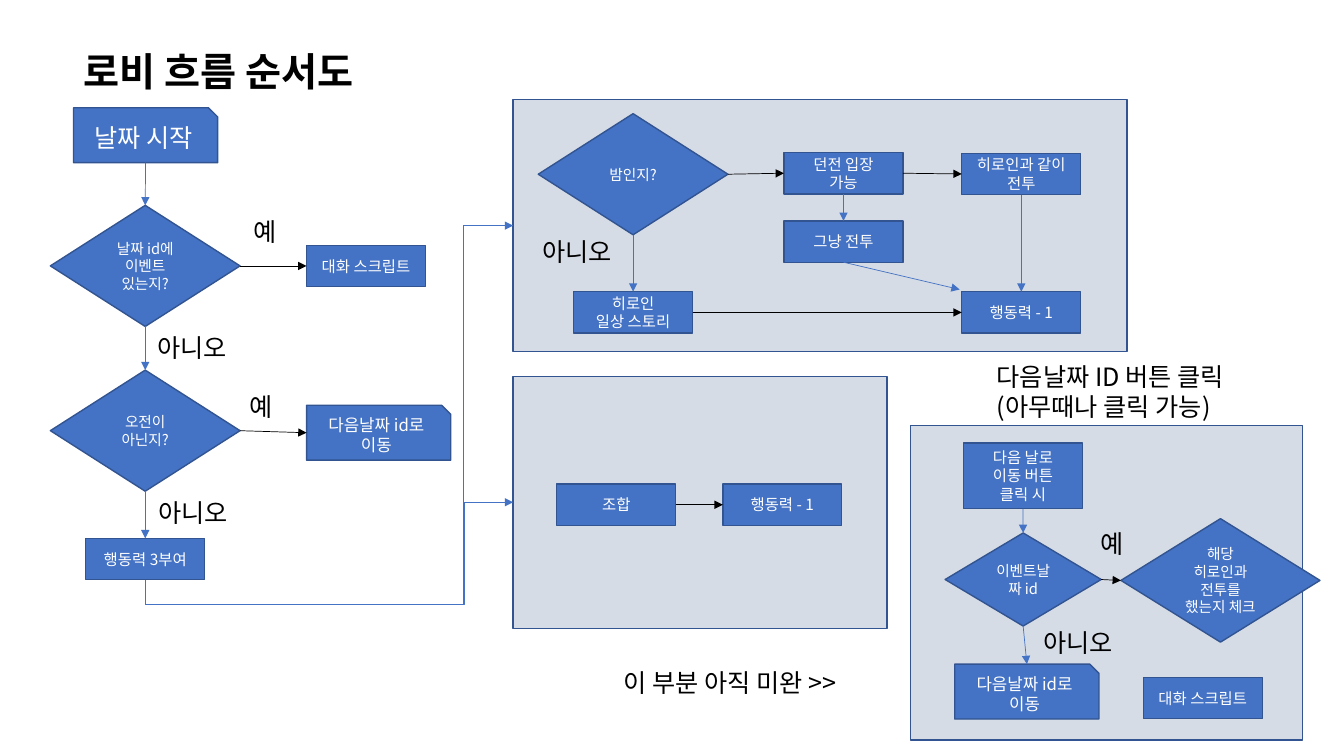
from lxml import etree
from pptx import Presentation
from pptx.dml.color import RGBColor
from pptx.enum.shapes import MSO_CONNECTOR, MSO_SHAPE
from pptx.enum.text import MSO_ANCHOR, PP_ALIGN
from pptx.oxml.ns import qn
from pptx.util import Pt

RECT = MSO_SHAPE.RECTANGLE
SNIP = MSO_SHAPE.SNIP_1_RECTANGLE
DIAMOND = MSO_SHAPE.FLOWCHART_DECISION
STRAIGHT, ELBOW = MSO_CONNECTOR.STRAIGHT, MSO_CONNECTOR.ELBOW
CENTER, MIDDLE = PP_ALIGN.CENTER, MSO_ANCHOR.MIDDLE
TOP, LEFT, BOTTOM, RIGHT = range(4)

BLACK = RGBColor(0x00, 0x00, 0x00)
WHITE = RGBColor(0xFF, 0xFF, 0xFF)
BLUE = RGBColor(0x44, 0x72, 0xC4)
NAVY = RGBColor(0x32, 0x54, 0x91)
PALE = RGBColor(0xD6, 0xDC, 0xE5)


class FlowSlide:
    font = "Noto Sans CJK KR"

    def __init__(self, prs):
        self.shapes = prs.slides.add_slide(prs.slide_layouts[6]).shapes

    def set_text(self, sp, text, size, color, bold=None, font=None):
        p = sp.text_frame.paragraphs[0]
        p.text = text
        p.font.size, p.font.bold = Pt(size), bold
        p.font.color.rgb = color
        p.font.name = font or self.font
        defaults = p._p.pPr.find(qn("a:defRPr"))
        etree.SubElement(defaults, qn("a:ea"), typeface=self.font)
        return p

    def label(self, text, x, y, w=32.4, h=29, size=18, wrap=False, **style):
        sp = self.shapes.add_textbox(Pt(x), Pt(y), Pt(w), Pt(h))
        sp.text_frame.word_wrap = wrap
        self.set_text(sp, text, size, BLACK, **style)

    def panel(self, x, y, w, h, kind=RECT, fill=PALE):
        sp = self.shapes.add_shape(kind, Pt(x), Pt(y), Pt(w), Pt(h))
        sp.shadow.inherit = False
        sp.fill.solid()
        sp.fill.fore_color.rgb = fill
        sp.line.color.rgb = NAVY
        sp.line.width = Pt(1)
        return sp

    def node(self, text, x, y, w, h, kind, size):
        sp = self.panel(x, y, w, h, kind, BLUE)
        sp.text_frame.word_wrap = True
        sp.text_frame.vertical_anchor = MIDDLE
        self.set_text(sp, text, size, WHITE).alignment = CENTER
        return sp

    def step(self, text, x, y, h=29.5):
        return self.node(text, x, y, 85, h, RECT, 11)

    def jump(self, text, x, y, size=12):
        return self.node(text, x, y, 103, 39.2, SNIP, size)

    def decision(self, text, x, y, w=135.5, h=86.5):
        return self.node(text, x, y, w, h, DIAMOND, 10.5)

    def side_middle(self, sp, side):
        x = sp.left + {LEFT: 0, RIGHT: sp.width}.get(side, sp.width // 2)
        y = sp.top + {TOP: 0, BOTTOM: sp.height}.get(side, sp.height // 2)
        return x, y

    def arrow(self, kind, start, end, color):
        c = self.shapes.add_connector(kind, *start, *end)
        c.line.color.rgb = color
        c.line.width = Pt(0.5)
        line = c._element.spPr.find(qn("a:ln"))
        etree.SubElement(line, qn("a:tailEnd"), type="triangle")
        etree.SubElement(c._element.spPr, qn("a:effectLst"))
        return c

    def link(self, a, b, out=BOTTOM, into=TOP, color=BLUE):
        c = self.arrow(STRAIGHT, self.side_middle(a, out), self.side_middle(b, into), color)
        if a.auto_shape_type != SNIP:
            c.begin_connect(a, out)
        if b.auto_shape_type != SNIP:
            c.end_connect(b, into)

    def link_right(self, a, b):
        self.link(a, b, RIGHT, LEFT, BLACK)

    def rise(self, a, b, turn_x, drop=18):
        """Arrow that leaves a downwards, runs to turn_x and climbs to b's left side."""
        x0, y0 = self.side_middle(a, BOTTOM)
        x1, y1 = self.side_middle(b, LEFT)
        c = self.arrow(ELBOW, (x0, y0), (x1, y1), BLUE)
        c.begin_connect(a, BOTTOM)
        c.end_connect(b, LEFT)
        run, climb = x1 - x0, y0 - y1
        c.left, c.top = (x0 + x1 - climb) // 2, (y0 + y1 - run) // 2
        c.width, c.height = climb, run
        xfrm = c._element.spPr.find(qn("a:xfrm"))
        for name, value in (("rot", "5400000"), ("flipH", "1"), ("flipV", "1")):
            xfrm.set(name, value)
        geom = c._element.spPr.find(qn("a:prstGeom"))
        geom.set("prst", "bentConnector4")
        guides = geom.find(qn("a:avLst"))
        if guides is None:
            guides = etree.SubElement(geom, qn("a:avLst"))
        ratios = (-Pt(drop) / climb, (Pt(turn_x) - x0) / run)
        for i, ratio in enumerate(ratios, 1):
            etree.SubElement(guides, qn("a:gd"), name=f"adj{i}",
                             fmla=f"val {round(ratio * 100000)}")


def main():
    prs = Presentation()
    prs.slide_width, prs.slide_height = Pt(960), Pt(540)
    s = FlowSlide(prs)

    s.panel(650.2, 304, 280.2, 224.5)
    night_panel = s.panel(366.5, 71.2, 438.5, 180)
    craft_panel = s.panel(366.5, 268.8, 267, 180)
    s.label("로비 흐름 순서도", 52.6, 30.2, 270.7, 41, size=28, wrap=True, bold=True, font="Lato")

    # Daily flow
    start = s.jump("날짜 시작", 52.5, 77, size=18)
    event = s.decision("날짜 id에 이벤트 있는지?", 36, 146.7)
    talk = s.step("대화 스크립트", 219, 175.2)
    morning = s.decision("오전이 아닌지?", 36, 264.4)
    next_date = s.jump("다음날짜 id로 이동", 219, 289.5)
    grant = s.step("행동력 3부여", 61.25, 384.5)
    s.link(start, event)
    s.link(event, morning)
    s.link(morning, grant)
    s.link_right(event, talk)
    s.link_right(morning, next_date)
    s.rise(grant, night_panel, 331.2)
    s.rise(grant, craft_panel, 331.7)

    # Night flow
    night = s.decision("밤인지?", 384.5, 81.2)
    dungeon = s.step("던전 입장\n가능", 560, 109)
    together = s.step("히로인과 같이 전투", 687, 109.5)
    alone = s.step("그냥 전투", 560, 157.8)
    story = s.step("히로인\n일상 스토리", 409.75, 208.4)
    night_cost = s.step("행동력 - 1", 687, 208.4)
    s.link_right(night, dungeon)
    s.link_right(dungeon, together)
    s.link_right(story, night_cost)
    s.link(night, story)
    s.link(dungeon, alone)
    s.link(together, night_cost)
    to_cost = s.arrow(STRAIGHT, s.side_middle(alone, BOTTOM), (Pt(685.5), Pt(206.8)), BLUE)
    to_cost.begin_connect(alone, BOTTOM)

    # Crafting flow
    craft = s.step("조합", 397.7, 345.8)
    craft_cost = s.step("행동력 - 1", 516.3, 345.8)
    s.link_right(craft, craft_cost)

    # Next-date button
    click = s.step("다음 날로\n이동 버튼\n클릭 시", 688.2, 316.4, 47)
    event_date = s.decision("이벤트날짜 id", 675.1, 380.7, 111.5, 66.5)
    check = s.decision("해당 히로인과 전투를 했는지 체크", 800.7, 370.5, 142.2, 88.2)
    move = s.jump("다음날짜 id로 이동", 682, 474.4)
    s.step("대화 스크립트", 816.7, 483.8)
    s.link(click, event_date)
    s.link(event_date, move)
    s.link_right(event_date, check)

    for x, y in ((174.2, 151.2), (171.4, 276), (779, 373.7)):
        s.label("예", x, y)
    for x, y in ((105.1, 234), (106.2, 351.4), (380.2, 165.4), (738, 444.2)):
        s.label("아니오", x, y, 69)
    s.label("이 부분 아직 미완 >>", 438.5, 473, 193)
    s.label("다음날짜 ID 버튼 클릭\n(아무때나 클릭 가능)", 704.9, 254.2, 197.3, 51)

    prs.save("out.pptx")


if __name__ == "__main__":
    main()
